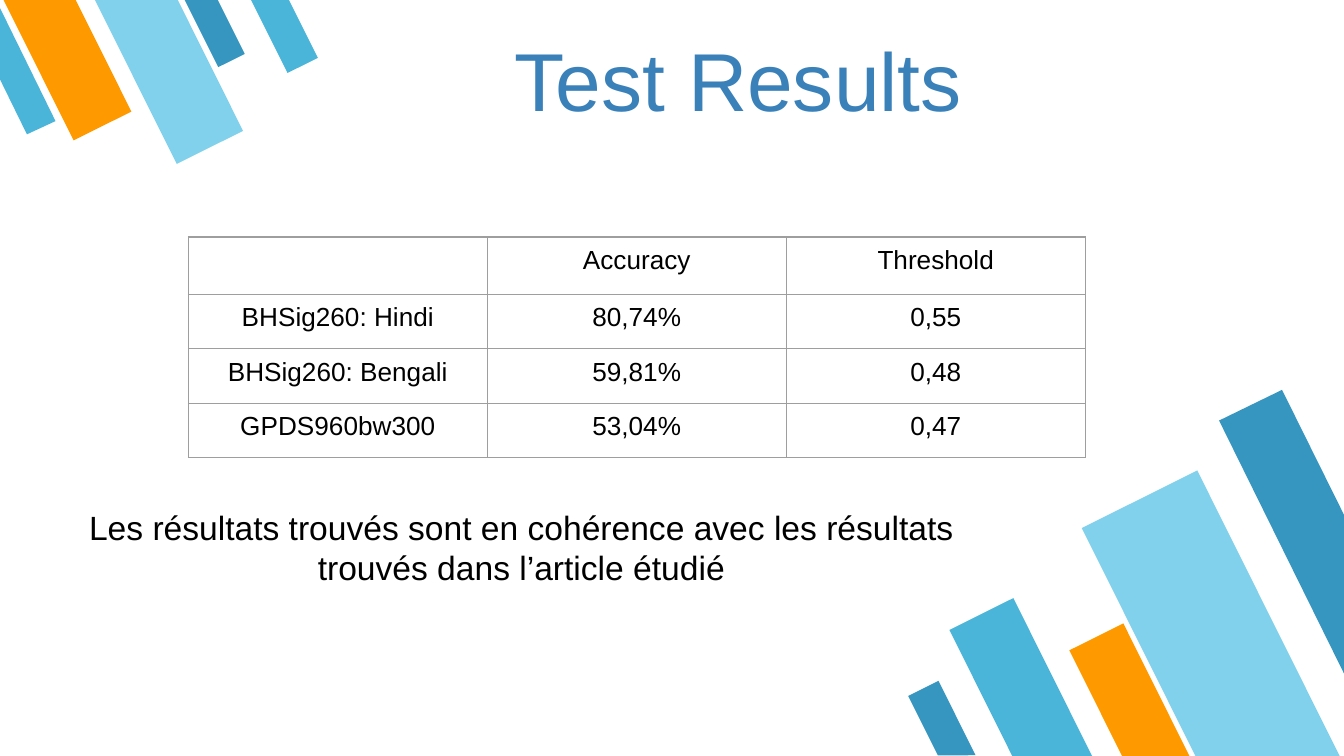
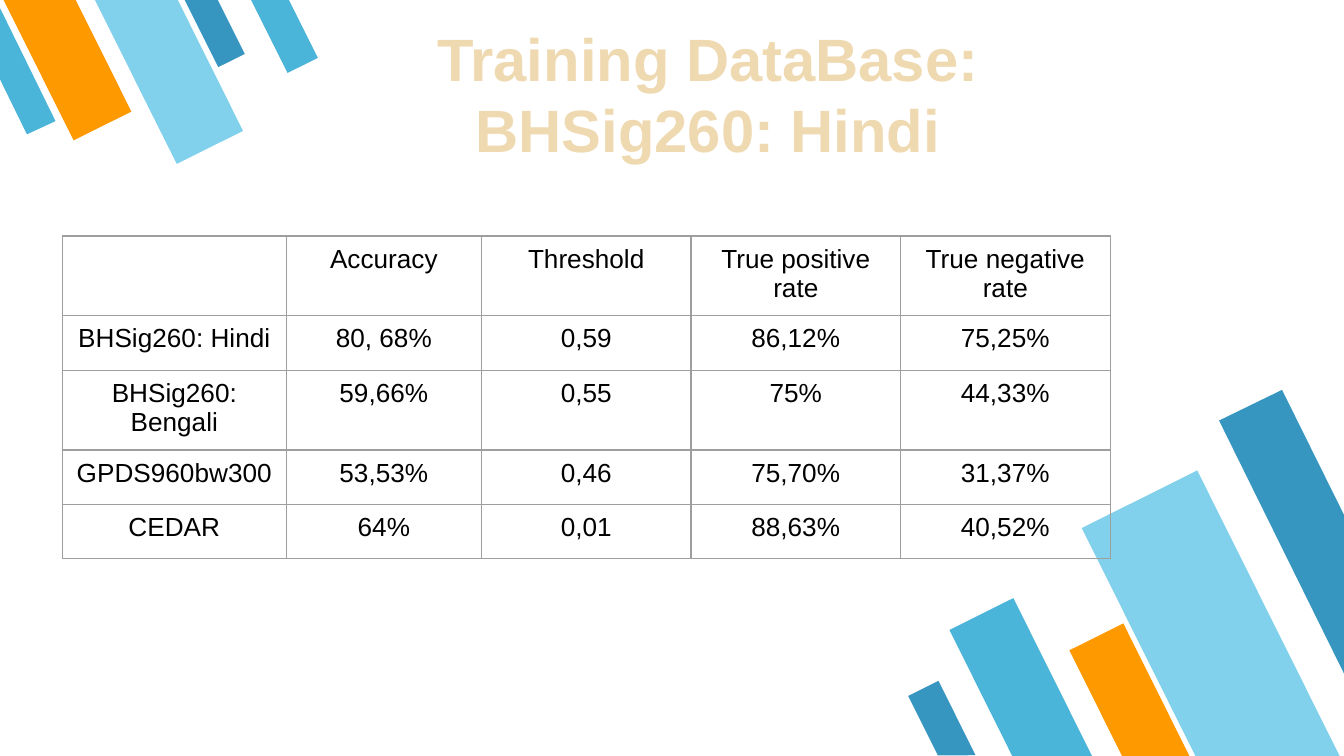
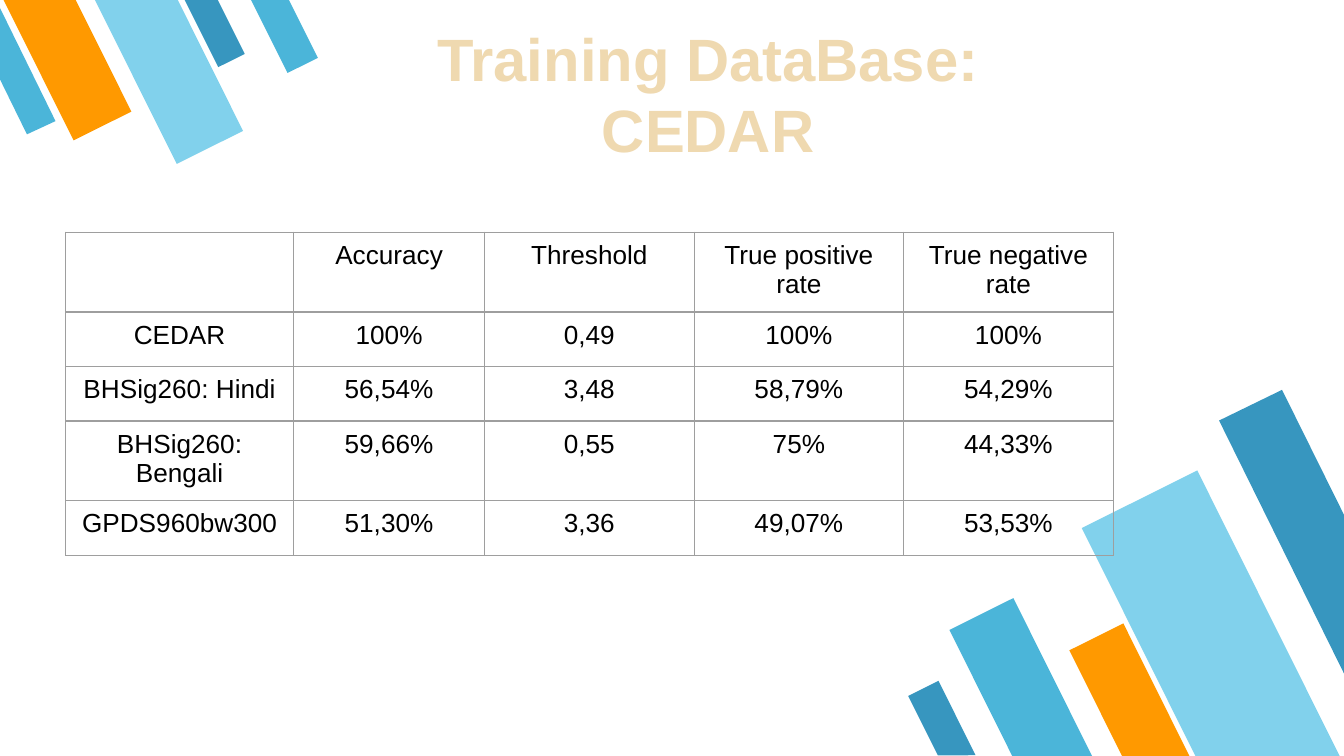
from lxml.etree import SubElement
from pptx import Presentation
from pptx.dml.color import RGBColor
from pptx.enum.shapes import MSO_SHAPE
from pptx.enum.text import MSO_AUTO_SIZE, PP_ALIGN
from pptx.oxml.ns import qn
from pptx.util import Cm, Pt

FONT = "Arial"
BLACK = "000000"
TITLE_BLUE = "3A81BA"
SAND, SAND_EDGE = "EFD9B0", "D89F39"
GRID_GREY = "9E9E9E"
DARK_BLUE, MID_BLUE, LIGHT_BLUE, ORANGE = "3796BF", "4BB5D9", "81D1EC", "FF9900"

ROW_HEIGHT = 1.03

# Slanted bars of a corner: left, top, width, height in cm, colour.
BOTTOM_BARS = [
    (18.62, 11.43, 1.35, 3.35, MID_BLUE),
    (21.67, 9.12, 2.44, 6.07, LIGHT_BLUE),
    (20.78, 11.89, 1.14, 2.82, ORANGE),
    (17.48, 12.93, 0.64, 1.57, DARK_BLUE),
]
BOTTOM_EDGE_BAR = [(24.23, 7.37), (23.04, 7.95), (25.4, 12.73), (25.4, 9.73)]
TOP_BARS = [
    (3.78, -0.2, 0.56, 1.42, DARK_BLUE),
    (0.66, -0.46, 1.22, 3.0, ORANGE),
    (2.49, -0.51, 1.4, 3.48, LIGHT_BLUE),
    (5.05, -0.25, 0.64, 1.57, MID_BLUE),
]
TOP_EDGE_BAR = [(0.51, 2.54), (1.05, 2.29), (0, 0.15), (0, 1.5)]

RATE_HEADER = ["", "Accuracy", "Threshold", "True positive rate", "True negative rate"]
TEST_RESULTS = [
    ["", "Accuracy", "Threshold"],
    ["BHSig260: Hindi", "80,74%", "0,55"],
    ["BHSig260: Bengali", "59,81%", "0,48"],
    ["GPDS960bw300", "53,04%", "0,47"],
]
HINDI_RESULTS = [
    RATE_HEADER,
    ["BHSig260: Hindi", "80, 68%", "0,59", "86,12%", "75,25%"],
    ["BHSig260: Bengali", "59,66%", "0,55", "75%", "44,33%"],
    ["GPDS960bw300", "53,53%", "0,46", "75,70%", "31,37%"],
    ["CEDAR", "64%", "0,01", "88,63%", "40,52%"],
]
CEDAR_RESULTS = [
    RATE_HEADER,
    ["CEDAR", "100%", "0,49", "100%", "100%"],
    ["BHSig260: Hindi", "56,54%", "3,48", "58,79%", "54,29%"],
    ["BHSig260: Bengali", "59,66%", "0,55", "75%", "44,33%"],
    ["GPDS960bw300", "51,30%", "3,36", "49,07%", "53,53%"],
]


def paint(fill, color):
    fill.solid()
    fill.fore_color.rgb = RGBColor.from_string(color)


def add_line(parent, tag, width, color):
    """Append a solid line element such as a:ln or a:lnL."""
    line = SubElement(parent, qn(tag), w=str(Pt(width)))
    SubElement(SubElement(line, qn("a:solidFill")), qn("a:srgbClr"), val=color)
    return line


def style_paragraph(para, size, color, bold=False):
    para.alignment = PP_ALIGN.CENTER
    for span in para.runs:
        span.font.name = FONT
        span.font.size = Pt(size)
        span.font.bold = bold
        paint(span.font.fill, color)


def add_text(page, box, text, size, color, bold=False, wrap=False):
    text_box = page.shapes.add_textbox(*map(Cm, box))
    frame = text_box.text_frame
    frame.text = text
    frame.word_wrap = wrap
    frame.auto_size = MSO_AUTO_SIZE.SHAPE_TO_FIT_TEXT
    for para in frame.paragraphs:
        style_paragraph(para, size, color, bold)
    return frame


def add_corner(page, layout, bars, rotation, edge_bar, edge_color):
    """Build a group of slanted bars and hand it to the shared layout."""
    corner = page.shapes.add_group_shape()
    for left, top, width, height, color in bars:
        bar = corner.shapes.add_shape(
            MSO_SHAPE.FLOWCHART_MANUAL_INPUT, Cm(left), Cm(top), Cm(width), Cm(height))
        bar.rotation = rotation
        bar.element.spPr.find(qn("a:xfrm")).set("flipH", "1")
        paint(bar.fill, color)
    start, *others = [(Cm(x), Cm(y)) for x, y in edge_bar]
    builder = corner.shapes.build_freeform(*start)
    builder.add_line_segments(others, close=True)
    paint(builder.convert_to_shape().fill, edge_color)
    for bar in corner.shapes:
        bar.shadow.inherit = False
        bar.line.fill.background()
    layout.shapes.element.append(corner.element)


def style_cell(cell, text):
    cell.text = text
    cell.margin_left = cell.margin_right = Cm(0.25)
    cell.margin_top = cell.margin_bottom = Cm(0.16)
    style_paragraph(cell.text_frame.paragraphs[0], 14, BLACK)
    properties = cell._tc.get_or_add_tcPr()
    for side in "LRTB":
        add_line(properties, f"a:ln{side}", 0.75, GRID_GREY)
    cell.fill.background()


def add_results(page, left, top, column_widths, rows):
    frame = page.shapes.add_table(
        len(rows), len(column_widths), Cm(left), Cm(top),
        Cm(sum(column_widths)), Cm(ROW_HEIGHT * len(rows)))
    table = frame.table
    table.first_row = table.horz_banding = False
    for column, width in zip(table.columns, column_widths):
        column.width = Cm(width)
    for row, texts in zip(table.rows, rows):
        row.height = Cm(ROW_HEIGHT)
        for cell, text in zip(row.cells, texts):
            style_cell(cell, text)


def add_test_page(page):
    add_text(page, (9.35, 0.43, 9.22, 2.13), "Test Results", 44, TITLE_BLUE)
    add_results(page, 3.56, 4.48, [5.65] * 3, TEST_RESULTS)
    add_text(page, (1.42, 9.45, 16.87, 1.8),
             "Les résultats trouvés sont en cohérence avec les résultats "
             "trouvés dans l’article étudié", 18, BLACK, wrap=True)


def add_training_page(page, database, left, top, first_widths, rows):
    add_results(page, left, top, first_widths + [3.96] * 3, rows)
    title = add_text(page, (7.95, 0.28, 10.87, 3.0),
                     f"Training DataBase:\n{database}", 32, SAND, bold=True)
    for para in title.paragraphs:
        for span in para.runs:
            properties = span.font._element
            properties.insert(0, add_line(properties, "a:ln", 1.75, SAND_EDGE))


def main():
    deck = Presentation()
    deck.slide_width, deck.slide_height = Cm(25.4), Cm(14.29)
    layout = deck.slide_layouts[6]
    for placeholder in list(layout.placeholders):
        layout.shapes.element.remove(placeholder.element)
    test, hindi, cedar = [deck.slides.add_slide(layout) for _ in range(3)]

    add_corner(test, layout, BOTTOM_BARS, 153.5, BOTTOM_EDGE_BAR, DARK_BLUE)
    add_corner(test, layout, TOP_BARS, 333.5, TOP_EDGE_BAR, MID_BLUE)

    add_test_page(test)
    add_training_page(hindi, "BHSig260: Hindi", 1.18, 4.46, [4.23, 3.69], HINDI_RESULTS)
    add_training_page(cedar, "CEDAR", 1.24, 4.39, [4.31, 3.61], CEDAR_RESULTS)
    deck.save("out.pptx")


if __name__ == "__main__":
    main()
